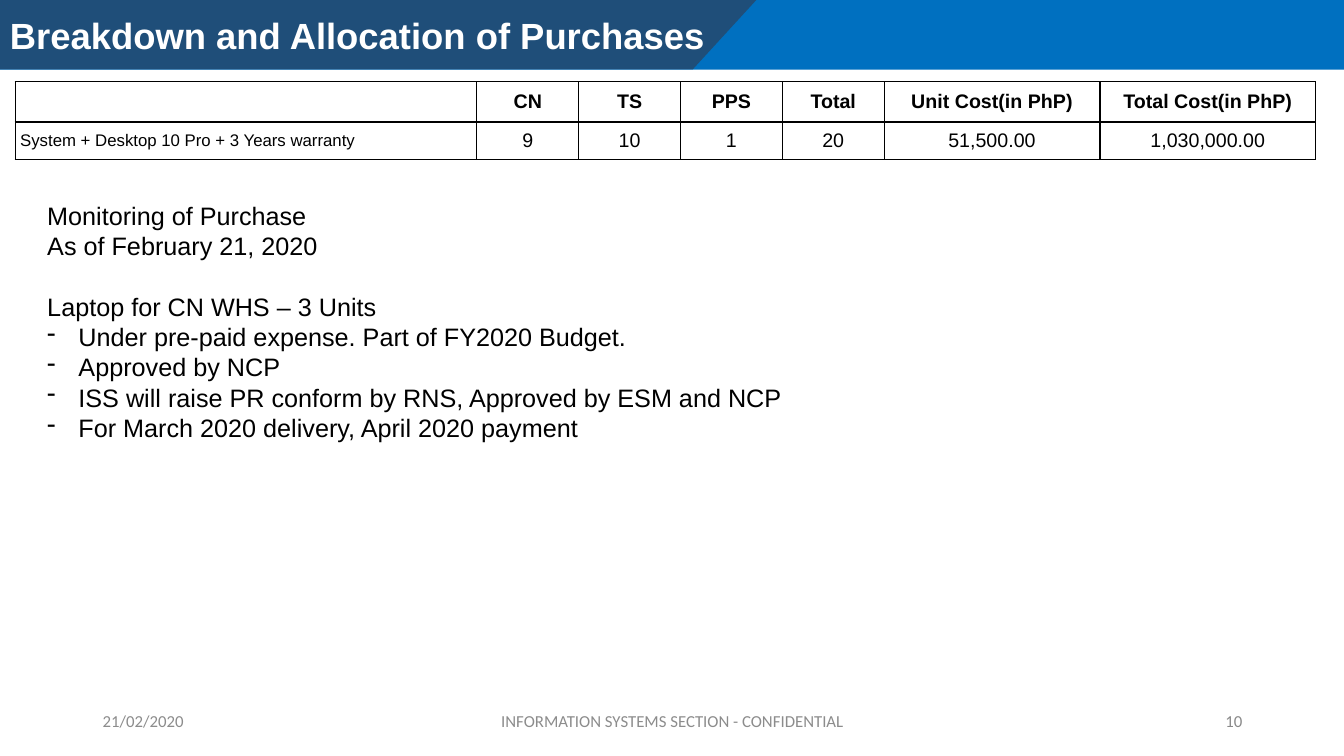
import pptx
import pptx.util
import pptx.dml.color
import pptx.enum.shapes
import pptx.enum.text
import pptx.oxml
import pptx.oxml.ns

Inches = pptx.util.Inches
Pt = pptx.util.Pt
RGBColor = pptx.dml.color.RGBColor
ALIGN = pptx.enum.text.PP_ALIGN
MIDDLE = pptx.enum.text.MSO_ANCHOR.MIDDLE

BLUE = RGBColor(0x00, 0x70, 0xC0)
NAVY = RGBColor(0x1F, 0x4E, 0x79)
WHITE = RGBColor(0xFF, 0xFF, 0xFF)
BLACK = RGBColor(0x00, 0x00, 0x00)
GRAY = RGBColor(0x8C, 0x8C, 0x8C)
PAGE_GRAY = RGBColor(0x89, 0x89, 0x89)


def add_text(paragraph, text, size, color, font="Arial", bold=False, align=ALIGN.LEFT):
    paragraph.alignment = align
    run = paragraph.add_run()
    run.text = text
    run.font.size = Pt(size)
    run.font.name = font
    run.font.bold = bold
    run.font.color.rgb = color


def add_box(left, top, width, height):
    box = slide.shapes.add_textbox(Inches(left), Inches(top), Inches(width), Inches(height))
    box.text_frame.word_wrap = True
    return box.text_frame


presentation = pptx.Presentation()
presentation.slide_width = Inches(13.33)
presentation.slide_height = Inches(7.5)
slide = presentation.slides.add_slide(presentation.slide_layouts[6])

footers = [
    (9.42, 3, "10", PAGE_GRAY, ALIGN.RIGHT),
    (0.92, 3, "21/02/2020", GRAY, ALIGN.LEFT),
    (4.42, 4.5, "INFORMATION SYSTEMS SECTION - CONFIDENTIAL", GRAY, ALIGN.CENTER),
]
for left, width, text, color, align in footers:
    frame = add_box(left, 6.95, width, 0.4)
    frame.vertical_anchor = MIDDLE
    add_text(frame.paragraphs[0], text, 12, color, "Calibri", align=align)

banner = slide.shapes.add_shape(
    pptx.enum.shapes.MSO_SHAPE.RECTANGLE, 0, 0, presentation.slide_width, Inches(0.69))
builder = slide.shapes.build_freeform(Inches(0), Inches(0.69), scale=1.0)
builder.add_line_segments(
    [(Inches(x), Inches(y)) for x, y in [(-0.01, -0.02), (7.52, -0.02), (6.87, 0.69)]])
title_panel = builder.convert_to_shape()
for shape, color in [(banner, BLUE), (title_panel, NAVY)]:
    shape.shadow.inherit = False
    shape.fill.solid()
    shape.fill.fore_color.rgb = color
    shape.line.fill.background()

title = add_box(0, 0.08, 8.55, 0.54)
add_text(title.paragraphs[0], "Breakdown and Allocation of Purchases", 26, WHITE, bold=True)

rows = [
    ["", "CN", "TS", "PPS", "Total", "Unit Cost(in PhP)", "Total Cost(in PhP)"],
    ["System + Desktop 10 Pro + 3 Years warranty", "9", "10", "1", "20", "51,500.00", "1,030,000.00"],
]
table = slide.shapes.add_table(
    2, 7, Inches(0.15), Inches(0.81), Inches(12.9), Inches(0.75)).table
table.first_row = False
table.horz_banding = False
for column, width in zip(table.columns, [4.58] + [1.01] * 4 + [2.14] * 2):
    column.width = Inches(width)
for row, height in zip(table.rows, [0.38, 0.37]):
    row.height = Inches(height)
for row_index, row in enumerate(rows):
    for column_index, text in enumerate(row):
        cell = table.cell(row_index, column_index)
        is_value = row_index == 1 and column_index > 0
        margin = Inches(0.01 if is_value else 0.05)
        cell.margin_left = cell.margin_right = cell.margin_top = margin
        cell.margin_bottom = 0 if is_value else margin
        cell.vertical_anchor = MIDDLE
        properties = cell._tc.get_or_add_tcPr()
        for side in ["lnL", "lnR", "lnT", "lnB"]:
            properties.append(pptx.oxml.parse_xml(
                f'<a:{side} {pptx.oxml.ns.nsdecls("a")} w="12700"><a:solidFill>'
                f'<a:srgbClr val="{BLACK}"/></a:solidFill></a:{side}>'))
        cell.fill.solid()
        cell.fill.fore_color.rgb = WHITE
        if text:
            add_text(cell.text_frame.paragraphs[0], text, 14 if column_index else 12, BLACK,
                     bold=row_index == 0, align=ALIGN.CENTER if column_index else ALIGN.LEFT)

notes = [
    ("Monitoring of Purchase", False),
    ("As of February 21, 2020", False),
    ("Laptop for CN WHS – 3 Units", False),
    ("Under pre-paid expense. Part of FY2020 Budget.", True),
    ("Approved by NCP", True),
    ("ISS will raise PR conform by RNS, Approved by ESM and NCP", True),
    ("For March 2020 delivery, April 2020 payment", True),
]
monitoring = add_box(0.37, 1.94, 9.05, 2.52)
for index, (text, bulleted) in enumerate(notes):
    paragraph = monitoring.paragraphs[0] if index == 0 else monitoring.add_paragraph()
    if bulleted:
        properties = paragraph._p.get_or_add_pPr()
        properties.set("marL", str(Inches(0.31)))
        properties.set("indent", str(-Inches(0.31)))
        properties.append(pptx.oxml.parse_xml(
            f'<a:buChar {pptx.oxml.ns.nsdecls("a")} char="-"/>'))
    if text.startswith("Laptop"):
        paragraph.space_before = Pt(21.5)
    add_text(paragraph, text, 18, BLACK)

presentation.save("out.pptx")
